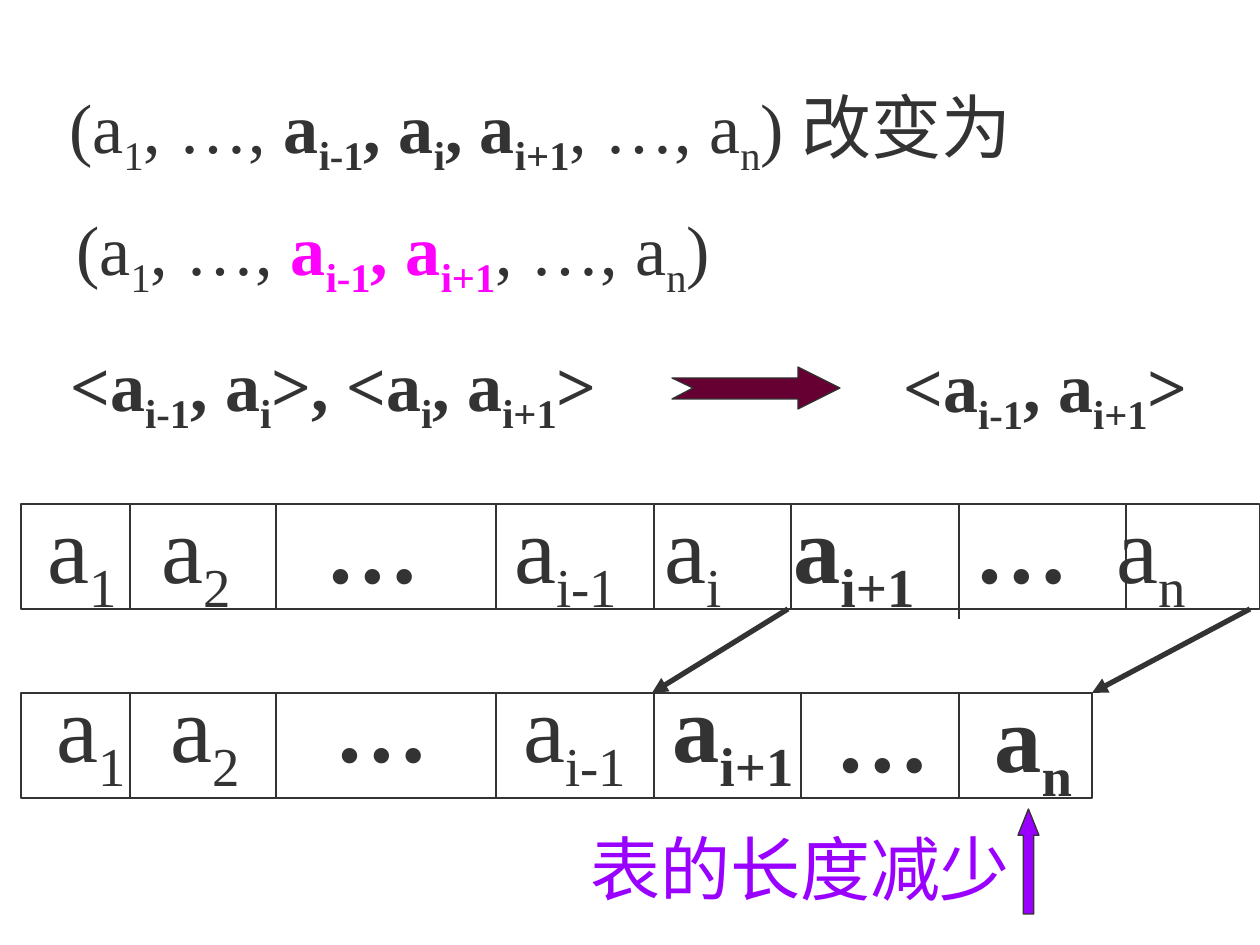
from lxml import etree
from pptx import Presentation
from pptx import util as u
from pptx.dml import color
from pptx.enum import shapes, text
from pptx.oxml import ns

PX = 914400 // 126  # EMU in one px
HUE = {"ink": "333333", "pink": "FF00FF", "wine": "660033", "plum": "9900FF"}
TEXT = {"name": "Times New Roman", "bold": False}
BOX = {"word_wrap": True, "auto_size": text.MSO_AUTO_SIZE.NONE}


def rgb(key):
    return color.RGBColor.from_string(HUE[key])


def sub(node, tag, **vals):
    return etree.SubElement(node, ns.qn(tag), **vals)


def apply(obj, vals):
    for key, val in vals.items():
        setattr(obj, key, val)


class Deck:
    def __init__(self, wide, high):
        self.prs = Presentation()
        self.prs.slide_width, self.prs.slide_height = wide * PX, high * PX
        self.slide = self.prs.slides.add_slide(self.prs.slide_layouts[6])
        self.pen = self.slide.shapes

    def group(self):
        """Send the next elements to a new group."""
        self.pen = self.slide.shapes.add_group_shape().shapes

    def free(self):
        """Send the next elements straight to the slide."""
        self.pen = self.slide.shapes

    def label(self, x, y, w, h, parts, size, tabs=(), space=None):
        """parts: (string, bold, hue); bars switch subscript on and off."""
        frame = self.pen.add_textbox(x * PX, y * PX, w * PX, h * PX).text_frame
        apply(frame, BOX)
        para = frame.paragraphs[0]
        if tabs:
            stops = sub(para._p.get_or_add_pPr(), "a:tabLst")
            for pos in tabs:
                sub(stops, "a:tab", pos=str(pos * PX), algn="l")
        if space:
            para.line_spacing = space
        for words, bold, hue in parts:
            for i, word in enumerate(words.split("|")):
                if not word:
                    continue
                run = para.add_run()
                run.text = word
                apply(run.font, {**TEXT, "size": u.Pt(size), "bold": bold})
                run.font.color.rgb = rgb(hue)
                if i % 2:
                    run._r.get_or_add_rPr().set("baseline", "-25000")

    def line(self, x1, y1, x2, y2, width=0.75, head=False):
        link = self.pen.add_connector(
            shapes.MSO_CONNECTOR.STRAIGHT, x1 * PX, y1 * PX, x2 * PX, y2 * PX)
        link.line.width = u.Pt(width)
        link.line.color.rgb = rgb("ink")
        if head:
            sub(link.line._get_or_add_ln(), "a:tailEnd", type="triangle")
        sub(link._element.spPr, "a:effectLst")

    def paint(self, shape, fill):
        shape.shadow.inherit = False
        if fill:
            shape.fill.solid()
            shape.fill.fore_color.rgb = rgb(fill)
        else:
            shape.fill.background()
        shape.line.width = u.Pt(0.75)
        shape.line.color.rgb = rgb("ink")

    def shape(self, kind, x, y, w, h, fill=None, adj=()):
        item = self.pen.add_shape(kind, x * PX, y * PX, w * PX, h * PX)
        for i, val in enumerate(adj):
            item.adjustments[i] = val
        self.paint(item, fill)

    def poly(self, points, fill):
        form = self.pen.build_freeform(*points[0], scale=PX)
        form.add_line_segments(points[1:], close=True)
        self.paint(form.convert_to_shape(), fill)

    def row(self, x, y, w, h, cuts, long=()):
        """A strip of cells; cuts listed in long run past its lower edge."""
        for cut in cuts:
            self.line(cut, y, cut, y + h + (10 if cut in long else 0))
        self.shape(shapes.MSO_SHAPE.RECTANGLE, x, y, w, h)


def main():
    deck = Deck(1260, 945)

    # The list before and after
    deck.label(57, 53, 1000, 132, [
        ("(a|1|, …, ", False, "ink"),
        ("a|i-1|, a|i|, a|i+1", True, "ink"),
        (", …, a|n|) 改变为", False, "ink")], 40, space=1.25)
    deck.label(64, 199, 670, 108, [
        ("(a|1|, …,", False, "ink"),
        (" a|i-1|, a|i+1", True, "pink"),
        (", …, a|n|)", False, "ink")], 40)

    # Pairs before and after
    deck.label(58, 335, 560, 108,
               [("<a|i-1|, a|i|>, <a|i|, a|i+1|>", True, "ink")], 40)
    deck.poly([(672, 378), (798, 378), (798, 367), (840, 388), (798, 409),
               (798, 399), (672, 399), (693, 388)], "wine")
    deck.label(891, 336, 315, 108,
               [("<a|i-1|, a|i+1|>", True, "ink")], 40)

    # Storage before removal
    cuts = [130, 276, 496, 654]
    tabs = [114, 278, 467, 617, 746, 927, 1069]
    start = [("a|1|\ta|2|\t", False, "ink"), ("…", True, "ink"),
             ("\ta|i-1", False, "ink")]
    deck.group()
    deck.label(35, 483, 1270, 142, start + [
        ("\ta|i|\t", False, "ink"), ("a|i+1|\t…", True, "ink"),
        ("\ta|n", False, "ink")], 54, tabs)
    deck.row(21, 504, 1239, 105, cuts + [791, 959, 1126], long=[959])

    # Storage after removal
    deck.group()
    deck.label(44, 662, 621, 142, start, 54, tabs[:3])
    deck.row(21, 693, 1071, 105, cuts + [801, 959])
    deck.free()
    for x, y, w, words in [(660, 662, 154, "a|i+1"), (823, 672, 128, "…"),
                           (982, 672, 110, "a|n")]:
        deck.label(x, y, w, 142, [(words, True, "ink")], 54)

    # Cells moving forward
    for x1, x2 in [(788, 652), (1250, 1092)]:
        deck.line(x1, 609, x2, 693, width=3, head=True)

    # Note on the shorter list
    deck.label(578, 819, 452, 97, [("表的长度减少", False, "plum")], 40)
    deck.shape(shapes.MSO_SHAPE.UP_ARROW, 1018, 809, 21, 105, "plum",
               (0.5, 1.25))

    deck.prs.save("out.pptx")


if __name__ == "__main__":
    main()
